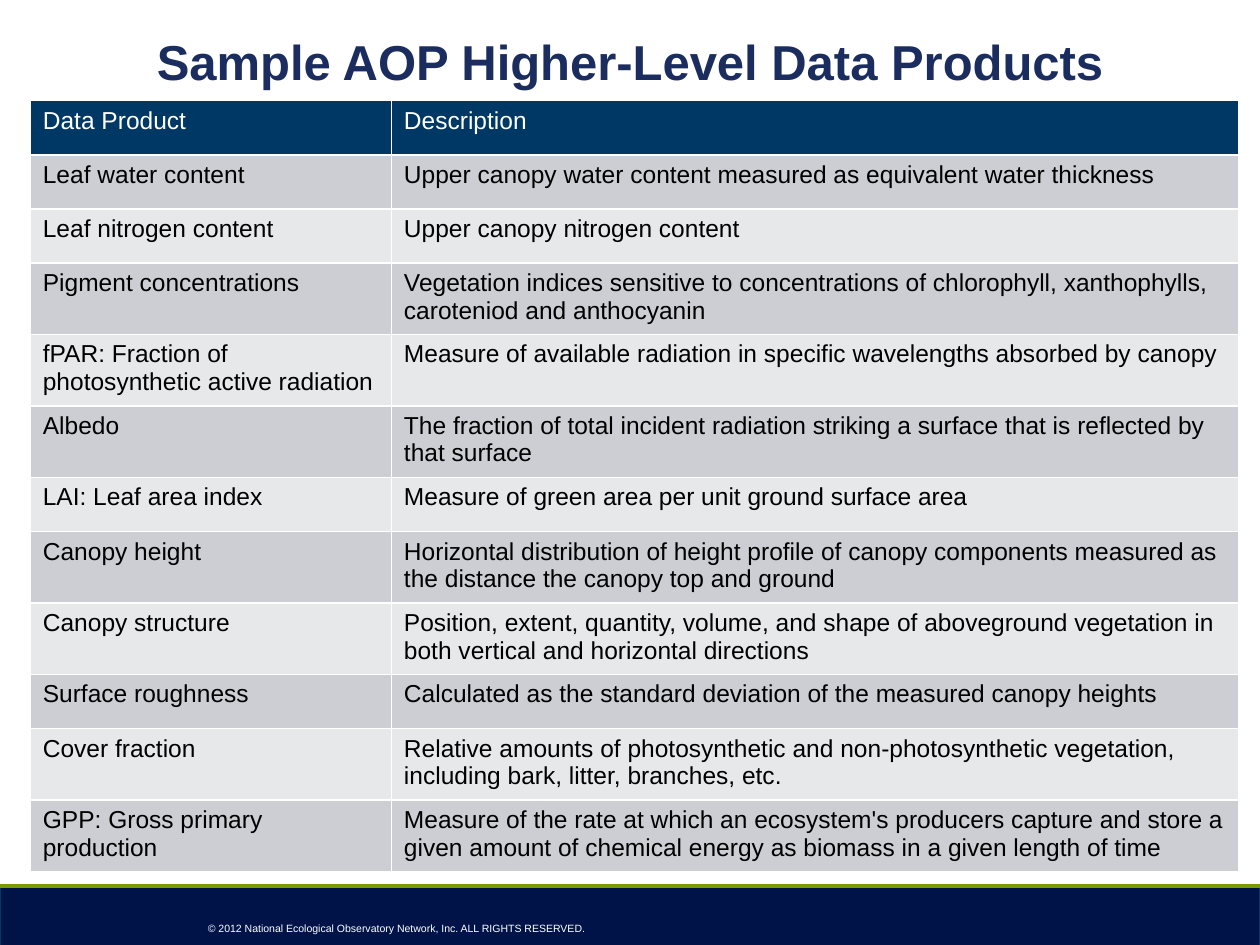
from lxml import etree
from pptx import Presentation
from pptx.dml.color import RGBColor
from pptx.enum.shapes import MSO_CONNECTOR, MSO_SHAPE
from pptx.enum.text import MSO_ANCHOR, PP_ALIGN
from pptx.oxml.ns import qn
from pptx.util import Cm, Pt

LINE = MSO_CONNECTOR.STRAIGHT
RECT = MSO_SHAPE.RECTANGLE
TOP = MSO_ANCHOR.TOP
LEFT, MID = PP_ALIGN.LEFT, PP_ALIGN.CENTER
WIDE, HIGH = 25.4, 19.05
NAME_MAX, TEXT_MAX = 24, 75

ROWS = [
    ("Data Product", "Description"),
    ("Leaf water content",
     "Upper canopy water content measured as equivalent water thickness"),
    ("Leaf nitrogen content", "Upper canopy nitrogen content"),
    ("Pigment concentrations",
     "Vegetation indices sensitive to concentrations of chlorophyll, "
     "xanthophylls, caroteniod and anthocyanin"),
    ("fPAR: Fraction of photosynthetic active radiation",
     "Measure of available radiation in specific wavelengths absorbed by canopy"),
    ("Albedo",
     "The fraction of total incident radiation striking a surface that is "
     "reflected by that surface"),
    ("LAI: Leaf area index", "Measure of green area per unit ground surface area"),
    ("Canopy height",
     "Horizontal distribution of height profile of canopy components measured "
     "as the distance the canopy top and ground"),
    ("Canopy structure",
     "Position, extent, quantity, volume, and shape of aboveground vegetation "
     "in both vertical and horizontal directions"),
    ("Surface roughness",
     "Calculated as the standard deviation of the measured canopy heights"),
    ("Cover fraction",
     "Relative amounts of photosynthetic and non-photosynthetic vegetation, "
     "including bark, litter, branches, etc."),
    ("GPP: Gross primary production",
     "Measure of the rate at which an ecosystem's producers capture and store a "
     "given amount of chemical energy as biomass in a given length of time"),
]


def paint(item, color):
    """Give a fill or a font a solid colour from a hex string."""
    if hasattr(item, "solid"):
        item.solid()
        item = item.fore_color
    else:
        item = item.color
    item.rgb = RGBColor.from_string(color)


def write(frame, text, size=14, color="000000", bold=False, align=LEFT):
    """Put formatted text into a text frame."""
    frame.text = text
    para = frame.paragraphs[0]
    para.alignment = align
    font = para.runs[0].font
    font.name, font.size, font.bold = "Arial", Pt(size), bold
    paint(font, color)


def add_foot(slide, left, top, width, height):
    """Draw the footer band, its top rule and the copyright line."""
    band = slide.shapes.add_shape(RECT, Cm(left), Cm(top), Cm(width), Cm(height))
    band.shadow.inherit = False
    paint(band.fill, "001349")
    paint(band.line, "003763")
    band.line.width = Pt(0.75)
    rule = slide.shapes.add_connector(
        LINE, Cm(left), Cm(top), Cm(left + width), Cm(top))
    paint(rule.line, "7A9A01")
    rule.line.width = Pt(2.75)
    etree.SubElement(rule.element.spPr, qn("a:effectLst"))
    note = slide.shapes.add_textbox(
        Cm(left + 3.94), Cm(top + 0.61), Cm(12.37), Cm(0.76))
    note.text_frame.word_wrap = True
    write(note.text_frame,
          "© 2012 National Ecological Observatory Network, Inc. "
          "ALL RIGHTS RESERVED.", size=6, color="FFFFFF")


def add_title(slide, left, top, width, height):
    """Place and format the title."""
    title = slide.shapes.title
    title.left, title.top = Cm(left), Cm(top)
    title.width, title.height = Cm(width), Cm(height)
    frame = title.text_frame
    frame.vertical_anchor = TOP
    frame.margin_top = Cm(0.23)
    write(frame, "Sample AOP Higher-Level Data Products",
          size=28, color="1B2C5F", bold=True, align=MID)


def add_grid(slide, left, top, width, height):
    """Build the product table with banded rows."""
    grid = slide.shapes.add_table(
        len(ROWS), 2, Cm(left), Cm(top), Cm(width), Cm(height)).table
    first = 7.28
    grid.columns[0].width = Cm(first)
    grid.columns[1].width = Cm(width - first)
    for i, (name, text) in enumerate(ROWS):
        tall = len(name) > NAME_MAX or len(text) > TEXT_MAX
        grid.rows[i].height = Cm(1.37 if tall else 1.09)
        fill = ("E7E8EA", "CCCED3")[i % 2] if i else "003865"
        for cell, words in zip(grid.rows[i].cells, (name, text)):
            paint(cell.fill, fill)
            write(cell.text_frame, words, color="000000" if i else "FFFFFF")


def main():
    """Build and save the slide."""
    deck = Presentation()
    deck.slide_width, deck.slide_height = Cm(WIDE), Cm(HIGH)
    slide = deck.slides.add_slide(deck.slide_layouts[5])
    add_foot(slide, 0, 17.86, WIDE, 1.27)
    add_title(slide, 0, 0.41, WIDE, 1.85)
    add_grid(slide, 0.61, 2.03, 24.36, 15.57)
    deck.save("out.pptx")


if __name__ == "__main__":
    main()
